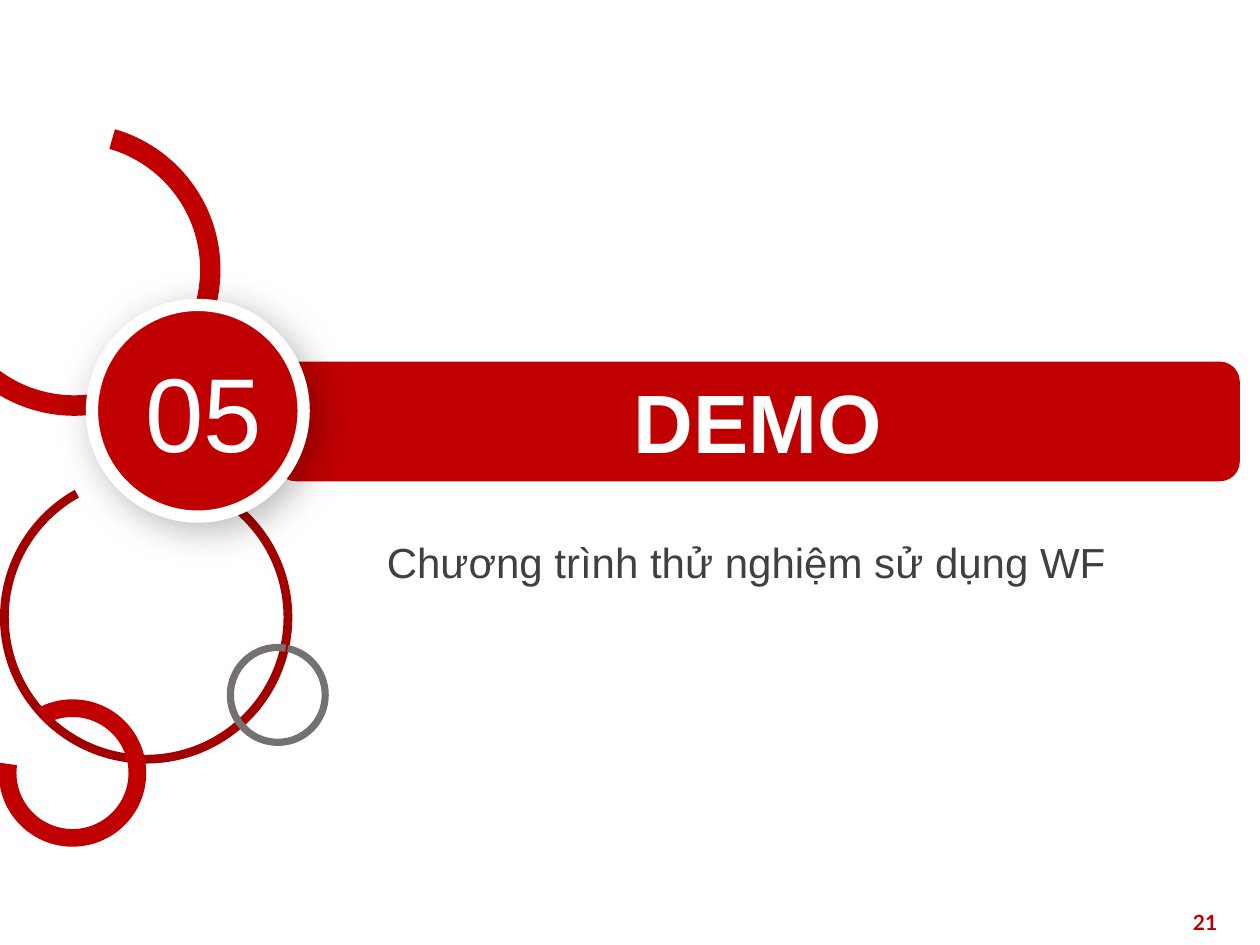
from dataclasses import dataclass
from typing import Any

from lxml.etree import SubElement as Sub
from pptx import Presentation
from pptx.dml.color import RGBColor
from pptx.enum.shapes import MSO_SHAPE as Kind
from pptx.enum.text import MSO_ANCHOR as Anchor, MSO_AUTO_SIZE as Fit, PP_ALIGN as Align
from pptx.oxml.ns import qn
from pptx.util import Emu, Pt

RED = RGBColor(0xC0, 0x00, 0x00)
DARK = RGBColor(0xA2, 0x00, 0x00)
GRAY = RGBColor(0x76, 0x71, 0x71)
INK = RGBColor(0x40, 0x40, 0x40)
WHITE = RGBColor(0xFF, 0xFF, 0xFF)
SCALE = 9144


@dataclass(frozen=True)
class Box:
    left: int
    top: int
    width: int
    height: int

    def emu(self) -> tuple[Emu, ...]:
        sides = (self.left, self.top, self.width, self.height)
        return tuple(Emu(side * SCALE) for side in sides)


@dataclass(frozen=True)
class Arc:
    left: int
    top: int
    size: int
    turn: float
    start: float
    end: float
    thick: float
    color: RGBColor


@dataclass(frozen=True)
class Label:
    text: str
    box: Box
    size: float
    color: RGBColor
    font: str = "Arial"
    bold: bool = False
    align: Align = Align.LEFT
    inset: tuple[int, int] = (11, 6)
    space: float = 1.0
    anchor: Anchor = Anchor.TOP


ARCS = (
    Arc(-57, 98, 232, 142, 86.49, 214.78, 0.07, RED),
    Arc(0, 374, 232, 219.9, 26.04, 12.5, 0.03, DARK),
    Arc(180, 511, 81, 281.5, 0.38, 214.78, 0.07, GRAY),
    Arc(-1, 555, 117, 128.9, 67.65, 35.48, 0.12, RED),
)
BAND = Box(219, 287, 765, 95)
DISC = Box(73, 242, 168, 168)
PAGE = Label("21", Box(751, 717, 225, 40), 12, RED, "Lato", True, Align.RIGHT, (10, 5))
NOTE = Label("Chương trình thử nghiệm sử dụng WF", Box(296, 412, 688, 56), 24, INK, space=1.2)
COUNT = Label("05", Box(98, 270, 127, 112), 60, WHITE, align=Align.CENTER)
HEAD = Label("DEMO", Box(219, 289, 765, 90), 47.3, WHITE, bold=True,
             align=Align.CENTER, inset=(10, 5), anchor=Anchor.MIDDLE)


def add_solid(shapes: Any, kind: Kind, box: Box, color: RGBColor) -> Any:
    shape = shapes.add_shape(kind, *box.emu())
    shape.shadow.inherit = False
    shape.fill.solid()
    shape.fill.fore_color.rgb = color
    shape.line.fill.background()
    return shape


def add_arc(shapes: Any, arc: Arc) -> None:
    box = Box(arc.left, arc.top, arc.size, arc.size)
    shape = add_solid(shapes, Kind.BLOCK_ARC, box, arc.color)
    shape.rotation = arc.turn
    for index, value in enumerate((arc.start, arc.end, arc.thick)):
        shape.adjustments[index] = value


def write(shape: Any, label: Label) -> None:
    shape.left, shape.top, shape.width, shape.height = label.box.emu()
    frame = shape.text_frame
    frame.word_wrap = True
    frame.auto_size = Fit.NONE
    frame.vertical_anchor = label.anchor
    across, down = (Emu(side * SCALE) for side in label.inset)
    frame.margin_left = frame.margin_right = across
    frame.margin_top = frame.margin_bottom = down
    frame.text = label.text
    line = frame.paragraphs[0]
    line.alignment = label.align
    line.line_spacing = label.space
    line.font.name = label.font
    line.font.size = Pt(label.size)
    line.font.bold = label.bold
    line.font.color.rgb = label.color


def add_label(shapes: Any, label: Label) -> None:
    write(shapes.add_textbox(*label.box.emu()), label)


def add_shadow(shape: Any) -> None:
    effects = shape._element.spPr.find(qn("a:effectLst"))
    outer = Sub(effects, qn("a:outerShdw"), blurRad=str(Pt(22)), dist=str(Pt(6)),
                dir="2700000", algn="ctr", rotWithShape="0")
    color = Sub(outer, qn("a:srgbClr"), val="000000")
    Sub(color, qn("a:alpha"), val="28000")


def add_badge(shapes: Any) -> None:
    group = shapes.add_group_shape().shapes
    disc = add_solid(group, Kind.OVAL, DISC, RED)
    disc.line.color.rgb = WHITE
    disc.line.width = Pt(7)
    add_shadow(disc)
    add_label(group, COUNT)


def main() -> None:
    deck = Presentation()
    deck.slide_width = Emu(1000 * SCALE)
    deck.slide_height = Emu(750 * SCALE)
    slide = deck.slides.add_slide(deck.slide_layouts[5])
    shapes = slide.shapes
    add_solid(shapes, Kind.ROUNDED_RECTANGLE, BAND, RED)
    add_label(shapes, PAGE)
    for arc in ARCS:
        add_arc(shapes, arc)
    add_label(shapes, NOTE)
    add_badge(shapes)
    title = shapes.title
    write(title, HEAD)
    shapes._spTree.append(title._element)
    deck.save("out.pptx")


if __name__ == "__main__":
    main()
